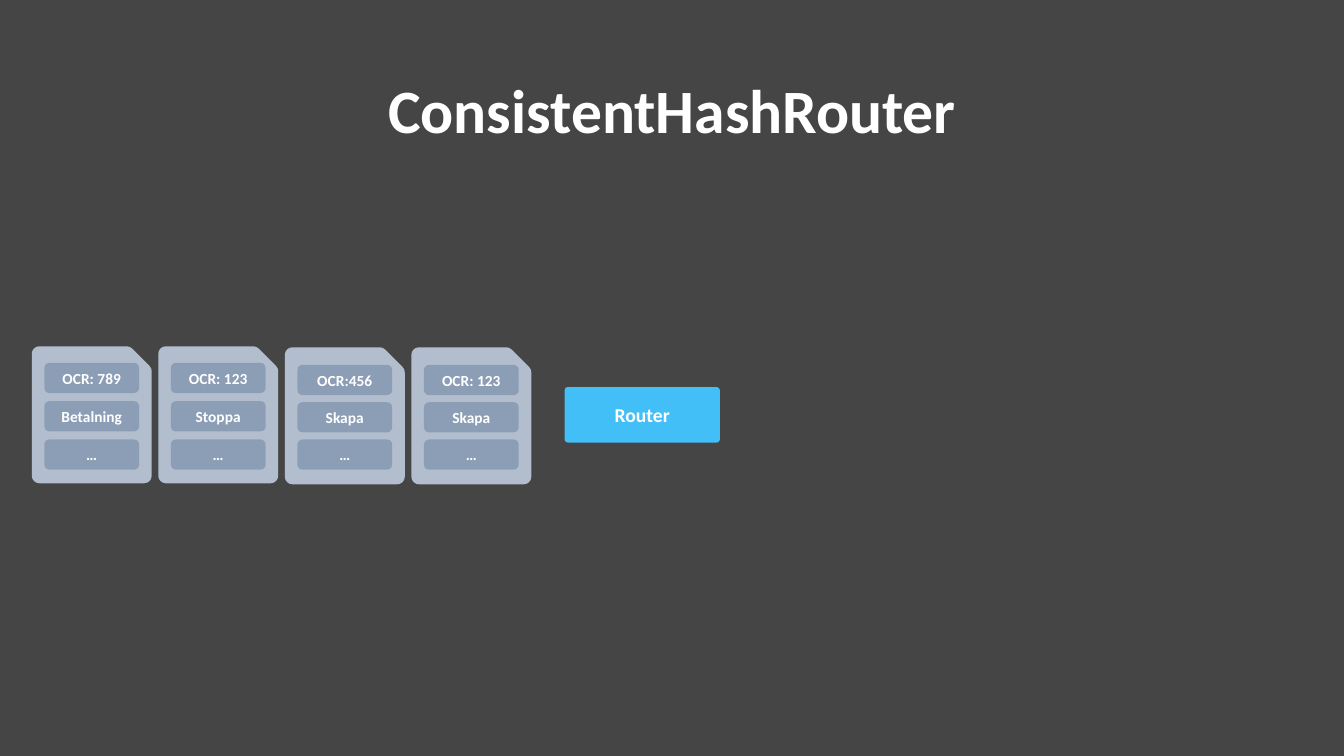
from lxml import etree
from pptx import Presentation
from pptx.dml.color import RGBColor
from pptx.enum.shapes import MSO_SHAPE
from pptx.enum.text import MSO_ANCHOR, PP_ALIGN
from pptx.oxml.ns import qn
from pptx.util import Inches, Pt

CARD, BOX = MSO_SHAPE.SNIP_1_RECTANGLE, MSO_SHAPE.ROUNDED_RECTANGLE
MIDDLE, CENTER = MSO_ANCHOR.MIDDLE, PP_ALIGN.CENTER

TITLE = "ConsistentHashRouter"
# card top, first row top, rows
MESSAGES = [
    (3.51, 3.6, ("OCR: 789", "Betalning", "…")),
    (3.51, 3.6, ("OCR: 123", "Stoppa", "…")),
    (3.52, 3.62, ("OCR:456", "Skapa", "…")),
    (3.52, 3.62, ("OCR: 123", "Skapa", "…")),
]
CARD_LEFT, CARD_PITCH, CARD_W, CARD_H = 0.39, 1.255, 1.04, 1.21
ROW_INSET, ROW_W, ROW_H, LAST_ROW_TOP = 0.05, 0.94, 0.3, 4.36
BACKGROUND, WHITE = "454545", "FFFFFF"
CARD_COLOR, ROW_COLOR, ROUTER_COLOR = "B2BECE", "8C9EB6", "43BFF7"


def rgb(value):
    return RGBColor.from_string(value)


def write(shape, text, size):
    """Put one centred bold white line into a shape."""
    tf = shape.text_frame
    tf.vertical_anchor = MIDDLE
    tf.word_wrap = True
    p = tf.paragraphs[0]
    p.text = text
    p.alignment = CENTER
    font = p.font
    font.name, font.size, font.bold = "Calibri", Pt(size), True
    font.color.rgb = rgb(WHITE)
    return p


def add_filled(s, kind, left, top, width, height, color):
    sp = s.shapes.add_shape(kind, Inches(left), Inches(top), Inches(width), Inches(height))
    sp.shadow.inherit = False
    sp.fill.solid()
    sp.fill.fore_color.rgb = rgb(color)
    sp.line.fill.background()
    return sp


def add_label(s, left, top, width, height, color, text, size):
    sp = add_filled(s, BOX, left, top, width, height, color)
    tf = sp.text_frame
    tf.margin_left = tf.margin_right = tf.margin_top = tf.margin_bottom = 0
    write(sp, text, size)
    return sp


def add_card(s, left, top):
    """Add a snipped card whose thick round-joined outline softens its corners."""
    sp = add_filled(s, CARD, left, top, CARD_W, CARD_H, CARD_COLOR)
    sp.line.color.rgb = rgb(CARD_COLOR)
    sp.line.width = Pt(10.75)
    etree.SubElement(sp.element.spPr.find(qn("a:ln")), qn("a:round"))


def main():
    prs = Presentation()
    prs.slide_width, prs.slide_height = Inches(13.33), Inches(7.5)
    s = prs.slides.add_slide(prs.slide_layouts[5])
    s.background.fill.solid()
    s.background.fill.fore_color.rgb = rgb(BACKGROUND)

    title = s.shapes.title
    title.left, title.top = Inches(0.92), Inches(0.4)
    title.width, title.height = Inches(11.5), Inches(1.45)
    write(title, TITLE, 44).line_spacing = 0.9

    for i, (card_top, first_row_top, rows) in enumerate(MESSAGES):
        left = CARD_LEFT + i * CARD_PITCH
        add_card(s, left, card_top)
        pitch = (LAST_ROW_TOP - first_row_top) / (len(rows) - 1)
        for j, text in enumerate(rows):
            add_label(s, left + ROW_INSET, first_row_top + j * pitch,
                      ROW_W, ROW_H, ROW_COLOR, text, 11)

    router = add_label(s, 5.6, 3.84, 1.54, 0.55, ROUTER_COLOR, "Router", 14)
    router.adjustments[0] = 0.06
    prs.save("out.pptx")


if __name__ == "__main__":
    main()
